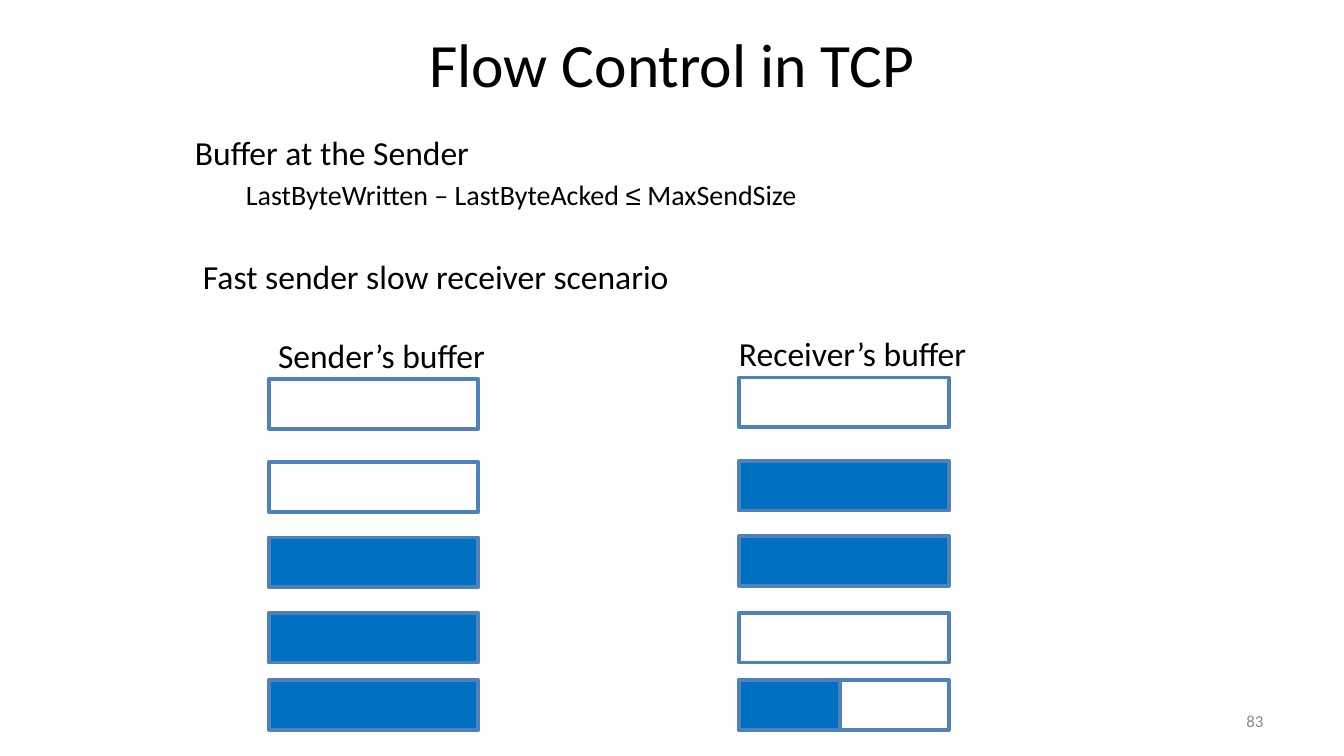
from lxml.etree import SubElement
from pptx import Presentation
from pptx.dml.color import RGBColor
from pptx.enum.shapes import MSO_SHAPE
from pptx.enum.text import MSO_ANCHOR, MSO_AUTO_SIZE, PP_ALIGN
from pptx.oxml.ns import qn
from pptx.util import Inches, Pt

EMPTY, FULL, OUTLINE = "FFFFFF", "0070C0", "4F81BD"
BUFFER_WIDTH, BUFFER_HEIGHT = 1.56, 0.37


def color(hex_value):
    return RGBColor.from_string(hex_value)


def write(paragraph, text, size=18, font="Calibri", fill="000000", align=None):
    """Append one formatted run to the paragraph."""
    run = paragraph.add_run()
    run.text = text
    run.font.size = Pt(size)
    run.font.name = font
    run.font.color.rgb = color(fill)
    if align is not None:
        paragraph.alignment = align


def place(shape, left, top, width, height):
    shape.left, shape.top = Inches(left), Inches(top)
    shape.width, shape.height = Inches(width), Inches(height)


def set_frame(frame, anchor, side=0.1, edge=0.05, wrap=True):
    frame.word_wrap = wrap
    frame.auto_size = MSO_AUTO_SIZE.NONE
    frame.vertical_anchor = anchor
    frame.margin_left = frame.margin_right = Inches(side)
    frame.margin_top = frame.margin_bottom = Inches(edge)


def set_paragraph(paragraph, level, margin, hanging, before):
    """Indent a list paragraph that shows no bullet."""
    paragraph.level = level
    properties = paragraph._p.get_or_add_pPr()
    properties.set("marL", str(Inches(margin)))
    properties.set("indent", str(-Inches(hanging)))
    SubElement(properties, qn("a:buNone"))
    paragraph.space_before = Pt(before)


def add_label(slide, text, left, top, width, height, anchor=MSO_ANCHOR.TOP,
              wrap=False, **text_format):
    label = slide.shapes.add_textbox(Inches(left), Inches(top), Inches(width), Inches(height))
    set_frame(label.text_frame, anchor, wrap=wrap)
    write(label.text_frame.paragraphs[0], text, **text_format)


def add_buffer(slide, left, top, fill, width=BUFFER_WIDTH):
    buffer = slide.shapes.add_shape(MSO_SHAPE.RECTANGLE, Inches(left), Inches(top),
                                    Inches(width), Inches(BUFFER_HEIGHT))
    buffer.shadow.inherit = False
    buffer.fill.solid()
    buffer.fill.fore_color.rgb = color(fill)
    buffer.line.color.rgb = color(OUTLINE)
    buffer.line.width = Pt(2)


def add_title(slide, text):
    title = slide.shapes.title
    place(title, 0, 0, 10, 0.94)
    set_frame(title.text_frame, MSO_ANCHOR.MIDDLE, 0.08, 0.04)
    write(title.text_frame.paragraphs[0], text, size=33, align=PP_ALIGN.CENTER)


def add_body(slide):
    body = slide.placeholders[1]
    place(body, 1.37, 0.94, 7.25, 1.69)
    frame = body.text_frame
    set_frame(frame, MSO_ANCHOR.TOP, 0.08, 0.04)

    sender = frame.paragraphs[0]
    set_paragraph(sender, 0, 0.28, 0.28, 0)
    write(sender, "Buffer at the Sender")

    limit = frame.add_paragraph()
    set_paragraph(limit, 1, 0.61, 0.23, 2.8)
    write(limit, "LastByteWritten – LastByteAcked ", size=15)
    write(limit, "≤", size=15, font="Arial")
    write(limit, " MaxSendSize", size=15)

    scenario = frame.add_paragraph()
    set_paragraph(scenario, 0, 0.34, 0.28, 24)
    write(scenario, "Fast sender slow receiver scenario")


def main():
    presentation = Presentation()
    presentation.slide_width = Inches(10)
    presentation.slide_height = presentation.slide_width * 9 // 16
    slide = presentation.slides.add_slide(presentation.slide_layouts[1])

    add_title(slide, "Flow Control in TCP")
    add_body(slide)
    add_label(slide, "83", 7.17, 5.21, 2.33, 0.3, anchor=MSO_ANCHOR.MIDDLE, wrap=True,
              size=9, fill="898989", align=PP_ALIGN.RIGHT)

    add_label(slide, "Sender’s buffer", 1.97, 2.44, 1.75, 0.4)
    add_label(slide, "Receiver’s buffer", 5.4, 2.43, 1.91, 0.4)

    sender_left, receiver_left = 2, 5.5
    steps = [
        (2.82, EMPTY, 2.81, EMPTY),
        (3.44, EMPTY, 3.43, FULL),
        (4, FULL, 3.99, FULL),
        (4.56, FULL, 4.56, EMPTY),
        (5.06, FULL, 5.06, EMPTY),
    ]
    for sender_top, sender_fill, receiver_top, receiver_fill in steps:
        add_buffer(slide, sender_left, sender_top, sender_fill)
        add_buffer(slide, receiver_left, receiver_top, receiver_fill)
    add_buffer(slide, receiver_left, 5.06, FULL, width=0.75)

    presentation.save("out.pptx")


if __name__ == "__main__":
    main()
